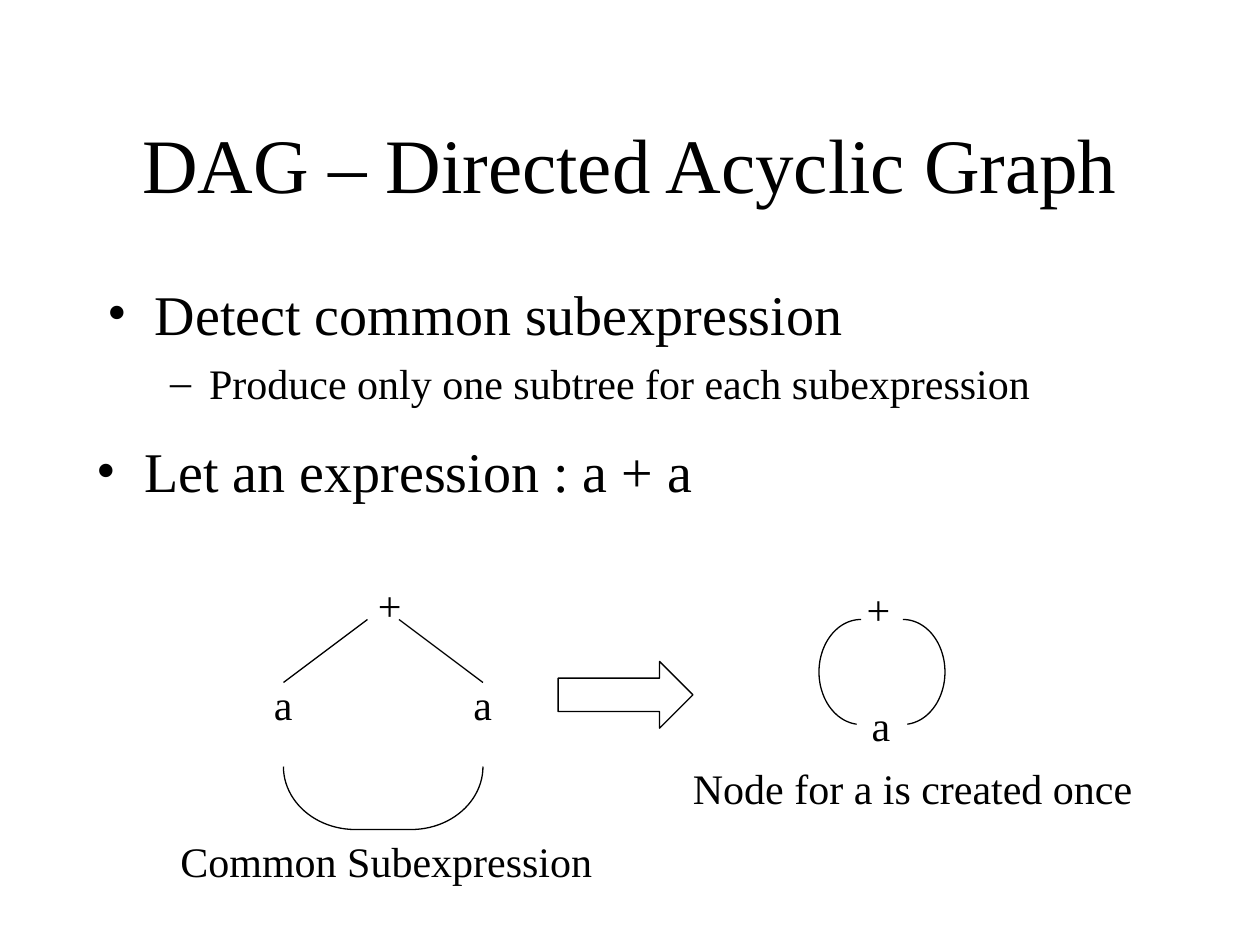
import math
import lxml.etree
import pptx
import pptx.util
import pptx.dml.color
import pptx.enum.shapes
import pptx.enum.text
import pptx.oxml.ns

HUES = {"ink": "000000", "paper": "FFFFFF"}
FACE = "Times New Roman"
COLS, ROWS = 120, 90
KINDS = pptx.enum.shapes.MSO_SHAPE
FIT = pptx.enum.text.MSO_AUTO_SIZE

deck = pptx.Presentation()
deck.slide_width = pptx.util.Inches(10)
deck.slide_height = pptx.util.Inches(7.5)
page = deck.slides.add_slide(deck.slide_layouts[1])
shapes = page.shapes


def hue(name):
    return pptx.dml.color.RGBColor.from_string(HUES[name])


def span(*cells):
    """Turn grid cells, x and y in turn, into lengths."""
    units = (deck.slide_width / COLS, deck.slide_height / ROWS)
    return [round(cell * units[i % 2]) for i, cell in enumerate(cells)]


def move(shape, box):
    shape.left, shape.top, shape.width, shape.height = span(*box)


def write(par, text, size):
    run = par.add_run()
    run.text = text
    run.font.size = pptx.util.Pt(size)
    run.font.name = FACE
    run.font.color.rgb = hue("ink")


def item(par, text, size, mark, left, hang):
    """Fill a list paragraph with its bullet and hanging indent."""
    props = par._p.get_or_add_pPr()
    props.set("marL", str(pptx.util.Inches(left)))
    props.set("indent", str(-pptx.util.Inches(hang)))
    for tag, key, value in (("a:buFont", "typeface", FACE),
                            ("a:buChar", "char", mark)):
        node = lxml.etree.SubElement(props, pptx.oxml.ns.qn(tag))
        node.set(key, value)
    par.space_before = pptx.util.Pt(0)
    write(par, text, size)


def label(text, x, y, wide):
    box = shapes.add_textbox(*span(x, y, wide, 6))
    frame = box.text_frame
    frame.word_wrap = False
    frame.auto_size = FIT.SHAPE_TO_FIT_TEXT
    write(frame.paragraphs[0], text, 24)


def ink(shape):
    shape.line.color.rgb = hue("ink")
    shape.line.width = pptx.util.Pt(0.75)


def edge(*ends):
    line = shapes.add_connector(
        pptx.enum.shapes.MSO_CONNECTOR.STRAIGHT, *span(*ends))
    ink(line)
    lxml.etree.SubElement(line._element.spPr, pptx.oxml.ns.qn("a:effectLst"))


def head(box):
    title = shapes.title
    move(title, box)
    frame = title.text_frame
    frame.auto_size = FIT.NONE
    frame.vertical_anchor = pptx.enum.text.MSO_ANCHOR.MIDDLE
    par = frame.paragraphs[0]
    par.alignment = pptx.enum.text.PP_ALIGN.CENTER
    write(par, "DAG – Directed Acyclic Graph", 44)


def points(box):
    body = page.placeholders[1]
    move(body, box)
    frame = body.text_frame
    frame.auto_size = FIT.NONE
    item(frame.paragraphs[0], "Detect common subexpression", 32, "•", 0.38, 0.38)
    sub = frame.add_paragraph()
    sub.level = 1
    item(sub, "Produce only one subtree for each subexpression",
         24, "–", 0.81, 0.31)
    sub.space_before = pptx.util.Pt(6)


def given(box):
    frame = shapes.add_textbox(*span(*box)).text_frame
    frame.word_wrap = True
    item(frame.paragraphs[0], "Let an expression : a + a", 32, "•", 0.38, 0.38)


def tree(box):
    x, y, wide, high = box
    label("+", x + 7.8, y - 4.4, 4.68)
    edge(x + 8, y, x, y + high)
    edge(x + 11, y, x + wide, y + high)
    for leaf in (x, x + wide):
        label("a", leaf - 2.1, y + high - 1, 4.2)


def brace(box):
    """Draw a bracket that opens upward, with its name below."""
    x, y, wide, high = box
    mark = shapes.add_shape(KINDS.LEFT_BRACKET, *span(
        x + (wide - high) / 2, y + (high - wide) / 2, high, wide))
    mark.rotation = 270
    mark.adjustments[0] = 1.14
    mark.shadow.inherit = False
    mark.fill.background()
    ink(mark)
    label("Common Subexpression", x - 11, y + high, 41.64)


def arrow(box):
    shape = shapes.add_shape(KINDS.RIGHT_ARROW, *span(*box))
    shape.shadow.inherit = False
    shape.fill.solid()
    shape.fill.fore_color.rgb = hue("paper")
    ink(shape)


def loop(box):
    """Draw one node joined twice to its operator by two arcs."""
    x, y, wide, high = box
    label("+", x + 3.36, y - 4, 4.68)
    label("a", x + 3.84, y + 7, 4.2)
    for side in (-1, 1):
        mid = x + wide / 2 + 2 * side
        dots = []
        for step in range(-90, 85, 3):
            turn = math.radians(step)
            dots.append(span(mid + side * 4 * math.cos(turn),
                             y + high / 2 * (1 + math.sin(turn))))
        pen = shapes.build_freeform(*dots[0])
        pen.add_line_segments(dots[1:], close=False)
        arc = pen.convert_to_shape()
        arc.shadow.inherit = False
        arc.fill.background()
        ink(arc)
    label("Node for a is created once", x - 13.2, y + 13, 44.28)


head((9, 8, 102, 15))
points((9, 26, 102, 18))
given((8, 41, 63, 10))
tree((27, 59, 19, 6))
brace((27, 73, 19, 6))
arrow((53.16, 63, 12.84, 6.36))
loop((78, 59, 12, 10))
deck.save("out.pptx")
